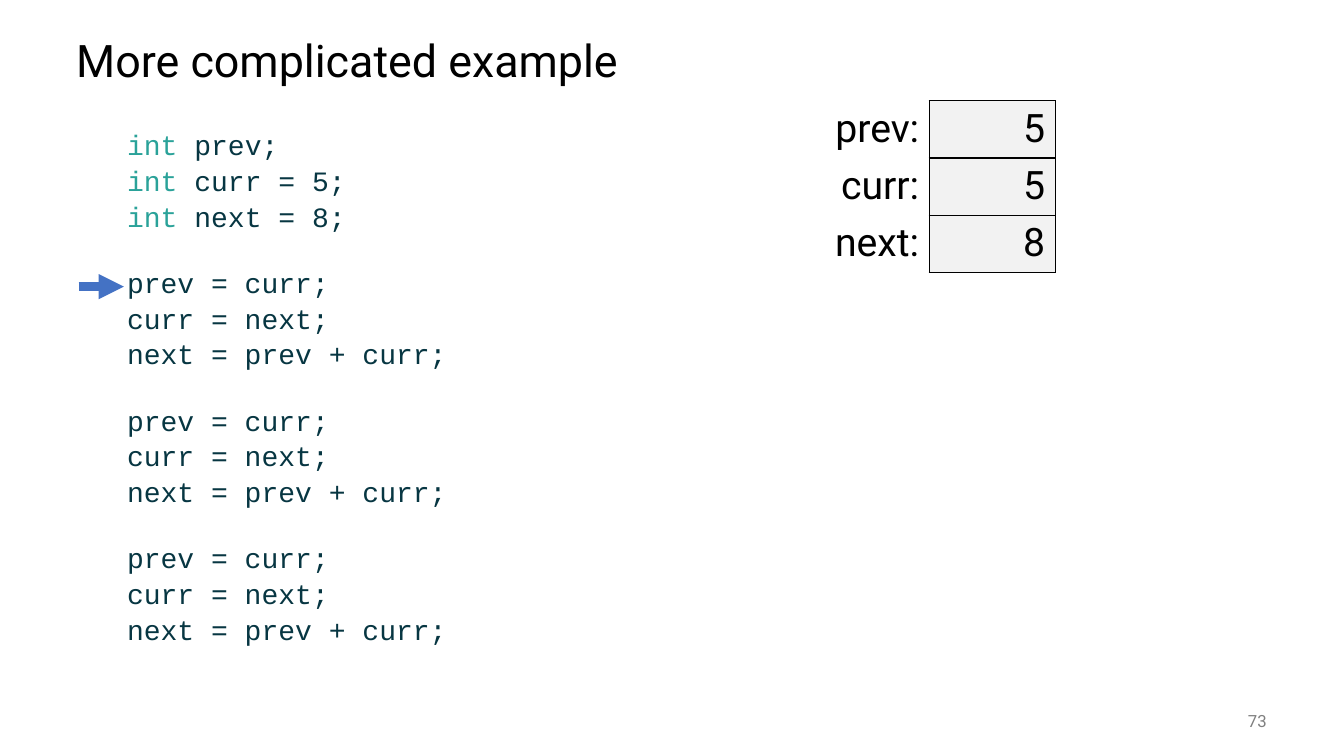
from lxml import etree
from pptx import Presentation
from pptx.dml.color import RGBColor
from pptx.enum.shapes import MSO_CONNECTOR
from pptx.enum.text import MSO_ANCHOR, PP_ALIGN
from pptx.oxml.ns import qn
from pptx.util import Pt

PX = 9525
RIGHT, LEFT = PP_ALIGN.RIGHT, PP_ALIGN.LEFT
MIDDLE = MSO_ANCHOR.MIDDLE
STRAIGHT = MSO_CONNECTOR.STRAIGHT
BLACK, TYPE_COLOR, CODE_COLOR = "000000", "2AA299", "073642"
CODE_BLOCKS = [["int prev;", "int curr = 5;", "int next = 8;"]]
CODE_BLOCKS += [["prev = curr;", "curr = next;", "next = prev + curr;"]] * 3
VARIABLES = [("prev:", "5"), ("curr:", "5"), ("next:", "8")]


def add_span(para, text, size, color, font="Roboto"):
    span = para.add_run()
    span.text = text
    span.font.name, span.font.size = font, Pt(size)
    span.font.color.rgb = RGBColor.from_string(color)


deck = Presentation()
deck.slide_width, deck.slide_height = 1280 * PX, 720 * PX
page = deck.slides.add_slide(deck.slide_layouts[5])

title = page.shapes.title
code = page.shapes.add_textbox(0, 0, 0, 0)
number = page.shapes.add_textbox(0, 0, 0, 0)
for box, bounds, anchor, align in [
    (title, (63, 24, 1152, 72), MIDDLE, LEFT),
    (code, (63, 120, 1152, 528), MSO_ANCHOR.TOP, LEFT),
    (number, (1120, 667, 96, 38), MIDDLE, RIGHT),
]:
    box.left, box.top, box.width, box.height = [length * PX for length in bounds]
    box.text_frame.word_wrap = True
    box.text_frame.vertical_anchor = anchor
    box.text_frame.paragraphs[0].alignment = align

title_para = title.text_frame.paragraphs[0]
title_para.line_spacing = 0.9
add_span(title_para, "More complicated example", 32, BLACK)
add_span(number.text_frame.paragraphs[0], "73", 12, "808080")

code.text_frame.margin_left = 58 * PX
para = code.text_frame.paragraphs[0]
for block_index, block in enumerate(CODE_BLOCKS):
    for line_index, line in enumerate(block):
        if block_index or line_index:
            para = code.text_frame.add_paragraph()
            para.space_before = Pt(4 if line_index else 25.6)
        para.line_spacing = Pt(21.6)
        if line.startswith("int "):
            add_span(para, "int ", 20, TYPE_COLOR, "Courier New")
        add_span(para, line.removeprefix("int "), 20, CODE_COLOR, "Courier New")

frame = page.shapes.add_table(3, 2, 765 * PX, 96 * PX, 240 * PX, 159 * PX)
table = frame.table
table.first_row = table.horz_banding = False
for row_index, variable in enumerate(VARIABLES):
    for column_index, text in enumerate(variable):
        cell = table.cell(row_index, column_index)
        para = cell.text_frame.paragraphs[0]
        para.alignment = RIGHT
        add_span(para, text, 28, BLACK)
        properties = cell._tc.get_or_add_tcPr()
        for side in ("a:lnL", "a:lnR", "a:lnT", "a:lnB"):
            border = etree.SubElement(properties, qn(side), w=str(Pt(1)))
            if column_index == 1 or side == "a:lnR":
                fill = etree.SubElement(border, qn("a:solidFill"))
                etree.SubElement(fill, qn("a:srgbClr"), val=BLACK)
            else:
                etree.SubElement(border, qn("a:noFill"))
        if column_index == 1:
            cell.fill.solid()
            cell.fill.fore_color.rgb = RGBColor.from_string("F2F2F2")
        else:
            cell.fill.background()

arrow = page.shapes.add_connector(STRAIGHT, 75 * PX, 273 * PX, 118 * PX, 273 * PX)
arrow.line.width = Pt(6)
arrow.line.color.rgb = RGBColor.from_string("4472C4")
etree.SubElement(arrow.line._get_or_add_ln(), qn("a:tailEnd"), type="triangle")
etree.SubElement(arrow._element.spPr, qn("a:effectLst"))

deck.save("out.pptx")
